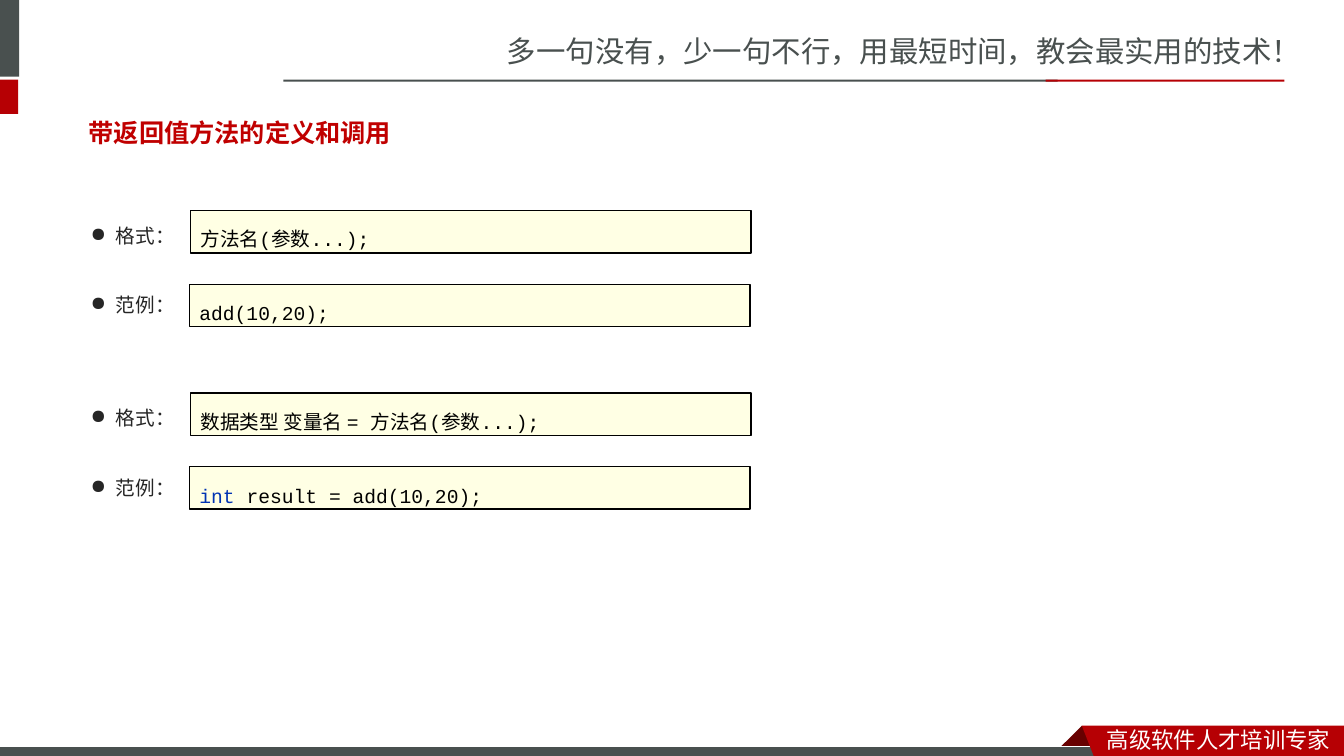
"""Build the slide on defining and calling methods that return a value."""
from lxml import etree
from pptx import Presentation
from pptx import util as u
from pptx.dml.color import RGBColor
from pptx.enum import shapes, text
from pptx.oxml.ns import qn

GRAY = RGBColor(0x49, 0x50, 0x4F)
RED = RGBColor(0xB6, 0x00, 0x04)
DARK = RGBColor(0x68, 0x00, 0x00)
CRIMSON = RGBColor(0xC0, 0x00, 0x00)
CREAM = RGBColor(0xFF, 0xFF, 0xE4)
INK = RGBColor(0x26, 0x26, 0x26)
BLUE = RGBColor(0x00, 0x33, 0xB3)
BLACK = RGBColor(0, 0, 0)
WHITE = RGBColor(255, 255, 255)
SANS, BOLD, MONO = "Noto Sans CJK SC", "Noto Sans CJK JP", "Courier New"

TITLE = "带返回值方法的定义和调用"
SLOGAN = "多一句没有，少一句不行，用最短时间，教会最实用的技术！"
BADGE = "高级软件人才培训专家"
GROUPS = [
    [("格式：", [("方法名(参数...);", BLACK)]),
     ("范例：", [("add(10,20);", BLACK)])],
    [("格式：", [("数据类型 变量名 = 方法名(参数...);", BLACK)]),
     ("范例：", [("int", BLUE), (" result = add(10,20);", BLACK)])],
]
BARS = [
    ((-0.06, 0, 0.25, 0.76), GRAY),
    ((-0.06, 0.79, 0.24, 0.34), RED),
    ((2.81, 0.79, 7.68, 0.02), GRAY),
    ((10.37, 0.79, 2.37, 0.02), RED),
]
FOOT = (-0.01, 7.41, 11, 0.12)
FOLD = [(10.73, 7.2), (10.95, 7.42), (10.94, 7.43), (10.52, 7.43), (10.51, 7.42)]
FLAG = [(10.73, 7.2), (13.33, 7.2), (13.33, 7.54), (10.86, 7.53)]
TOP, GROUP, ROW = 2.09, 1.81, 0.73
LABEL, CODE, WIDE, HIGH = 0.8, 1.89, 5.56, 0.42

deck = Presentation()
deck.slide_width, deck.slide_height = u.Inches(13.33), u.Inches(7.5)
slide = deck.slides.add_slide(deck.slide_layouts[5])


def place(shape, box):
    shape.left, shape.top, shape.width, shape.height = map(u.Inches, box)


def paint(shape, fill, edge=None, width=1):
    shape.shadow.inherit = False
    shape.fill.solid()
    shape.fill.fore_color.rgb = fill
    if edge is None:
        shape.line.fill.background()
    else:
        shape.line.color.rgb = edge
        shape.line.width = u.Pt(width)


def block(box, fill, edge=None, width=1):
    shape = slide.shapes.add_shape(shapes.MSO_SHAPE.RECTANGLE, *map(u.Inches, box))
    paint(shape, fill, edge, width)
    return shape


def outline(points, fill):
    start, *rest = [tuple(map(u.Inches, spot)) for spot in points]
    pen = slide.shapes.build_freeform(*start)
    pen.add_line_segments(rest, close=True)
    paint(pen.convert_to_shape(), fill)


def write(shape, parts, size, face, asian=SANS, bold=False):
    frame = shape.text_frame
    frame.word_wrap = True
    frame.auto_size = text.MSO_AUTO_SIZE.NONE
    para = frame.paragraphs[0]
    para.alignment = text.PP_ALIGN.LEFT
    para.font.size, para.font.name, para.font.bold = u.Pt(size), face, bold
    for words, color in parts:
        run = para.add_run()
        run.text = words
        run.font.color.rgb = color
        run.font.name = face
        etree.SubElement(run.font._element, qn("a:ea")).set("typeface", asian)
    return para


def label(box, words, size, color, face=SANS, bullet=False):
    shape = slide.shapes.add_textbox(*map(u.Inches, box))
    if bullet:
        props = shape.text_frame.paragraphs[0]._p.get_or_add_pPr()
        props.set("marL", str(u.Inches(0.25)))
        props.set("indent", str(-u.Inches(0.25)))
        etree.SubElement(props, qn("a:buChar")).set("char", "●")
    write(shape, [(words, color)], size, face)


for box, fill in BARS:
    block(box, fill)
label((4.93, 0.28, 8.41, 0.47), SLOGAN, 21, GRAY)
outline(FOLD, DARK)
block(FOOT, GRAY, WHITE, 0.75)
outline(FLAG, RED)
label((10.88, 7.15, 2.45, 0.37), BADGE, 16, WHITE)

title = slide.shapes.title
place(title, (0.78, 1.03, 11.76, 0.57))
write(title, [(TITLE, CRIMSON)], 18, BOLD, BOLD, True)
title.text_frame.vertical_anchor = text.MSO_ANCHOR.MIDDLE

for g, group in enumerate(GROUPS):
    for r, (name, code) in enumerate(group):
        y = TOP + g * GROUP + r * ROW
        panel = block((CODE - 0.01 * r, y, WIDE, HIGH), CREAM, BLACK)
        panel.text_frame.vertical_anchor = text.MSO_ANCHOR.TOP
        write(panel, code, 14, MONO).line_spacing = 1.5
        label((LABEL, y + 0.08 - 0.04 * r, 1.18, 0.34), name, 14, INK, MONO, True)

deck.save("out.pptx")
